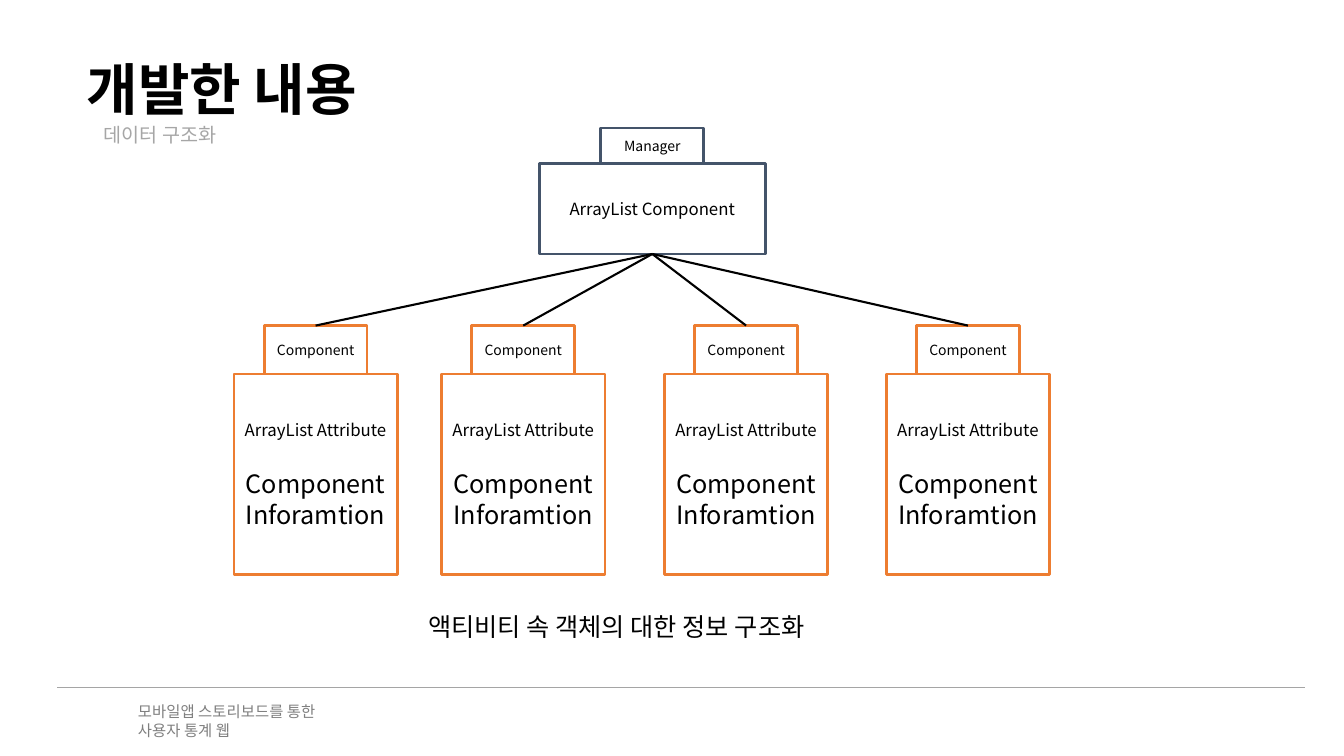
"""Builds the slide that shows how a manager holds its components."""
from lxml.etree import SubElement
from pptx import Presentation
from pptx.dml.color import RGBColor
from pptx.enum.shapes import MSO_CONNECTOR, MSO_SHAPE
from pptx.enum.text import MSO_ANCHOR, MSO_AUTO_SIZE, PP_ALIGN
from pptx.oxml.ns import qn
from pptx.util import Inches, Pt

FONT = "Noto Sans CJK KR"
COLORS = {
    "text": "000000",
    "subtitle": "A6A6A6",
    "footer": "808080",
    "rule": "A5A5A5",
    "manager": "44546A",
    "component": "ED7D31",
}
TAB_WIDTH = 1.02
CARD_WIDTH, CARD_TOP, CARD_HEIGHT = 1.62, 3.71, 1.99
COMPONENT_TAB_HEIGHT = 0.48
CARD_LEFTS = (2.32, 4.38, 6.59, 8.79)


def write(shape, lines, color="text", bold=False, align=PP_ALIGN.LEFT, anchor=MSO_ANCHOR.TOP):
    """Fill a shape with lines given as (text, size, space before)."""
    frame = shape.text_frame
    frame.word_wrap = True
    frame.auto_size = MSO_AUTO_SIZE.NONE
    frame.vertical_anchor = anchor
    for index, (text, size, gap) in enumerate(lines):
        paragraph = frame.add_paragraph() if index else frame.paragraphs[0]
        paragraph.alignment = align
        paragraph.line_spacing = 1.0
        paragraph.space_before = Pt(gap)
        run = paragraph.add_run()
        run.text = text
        run.font.size = Pt(size)
        run.font.bold = bold
        run.font.name = FONT
        run.font.color.rgb = RGBColor.from_string(COLORS[color])
        SubElement(run.font._element, qn("a:ea"), typeface=FONT)


def add_tabbed_box(slide, left, top, width, height, tab_height, tab_text, lines, color):
    """Draw a box with a centred tab on its top edge and return both."""
    group = slide.shapes.add_group_shape()
    tab_left = left + (width - TAB_WIDTH) / 2
    parts = (
        (left, top, width, height, lines),
        (tab_left, top - tab_height, TAB_WIDTH, tab_height, [(tab_text, 10, 0)]),
    )
    shapes = []
    for *place, content in parts:
        shape = group.shapes.add_shape(MSO_SHAPE.RECTANGLE, *map(Inches, place))
        shape.shadow.inherit = False
        shape.fill.background()
        shape.line.color.rgb = RGBColor.from_string(COLORS[color])
        shape.line.width = Pt(2)
        write(shape, content, align=PP_ALIGN.CENTER, anchor=MSO_ANCHOR.MIDDLE)
        shapes.append(shape)
    return shapes


presentation = Presentation()
presentation.slide_width = Inches(13.33)
presentation.slide_height = Inches(7.5)
slide = presentation.slides.add_slide(presentation.slide_layouts[5])

title = slide.shapes.title
title.left, title.top, title.width, title.height = map(Inches, (0.76, 0.49, 3.14, 0.77))
write(title, [("개발한 내용", 40, 0)], bold=True)

labels = (
    ((1.27, 6.92, 3.54, 0.47), "footer",
     [("모바일앱 스토리보드를 통한", 11, 0), ("사용자 통계 웹", 11, 0)]),
    ((0.93, 1.17, 4.42, 0.34), "subtitle", [("데이터 구조화", 14, 0)]),
    ((4.15, 6.02, 4.44, 0.4), "text", [("액티비티 속 객체의 대한 정보 구조화", 18, 0)]),
)
for place, color, lines in labels:
    write(slide.shapes.add_textbox(*map(Inches, place)), lines, color)

manager_box, manager_tab = add_tabbed_box(
    slide, 5.35, 1.62, 2.24, 0.9, 0.35, "Manager", [("ArrayList Component", 12, 0)], "manager")

card_lines = [("ArrayList Attribute", 12, 0), ("Component Inforamtion", 18, 21)]
component_tabs = []
for left in CARD_LEFTS:
    card, tab = add_tabbed_box(
        slide, left, CARD_TOP, CARD_WIDTH, CARD_HEIGHT, COMPONENT_TAB_HEIGHT,
        "Component", card_lines, "component")
    component_tabs.append(tab)

footer_rule = slide.shapes.add_connector(
    MSO_CONNECTOR.STRAIGHT, *map(Inches, (0.57, 6.82, 12.94, 6.82)))
connectors = [(footer_rule, "rule", 0.5)]
for tab in component_tabs:
    branch = slide.shapes.add_connector(MSO_CONNECTOR.STRAIGHT, 0, 0, 0, 0)
    branch.begin_connect(manager_box, 2)
    branch.end_connect(tab, 0)
    connectors.append((branch, "text", 1.5))
for connector, color, width in connectors:
    connector.line.color.rgb = RGBColor.from_string(COLORS[color])
    connector.line.width = Pt(width)
    SubElement(connector._element.spPr, qn("a:effectLst"))

presentation.save("out.pptx")
